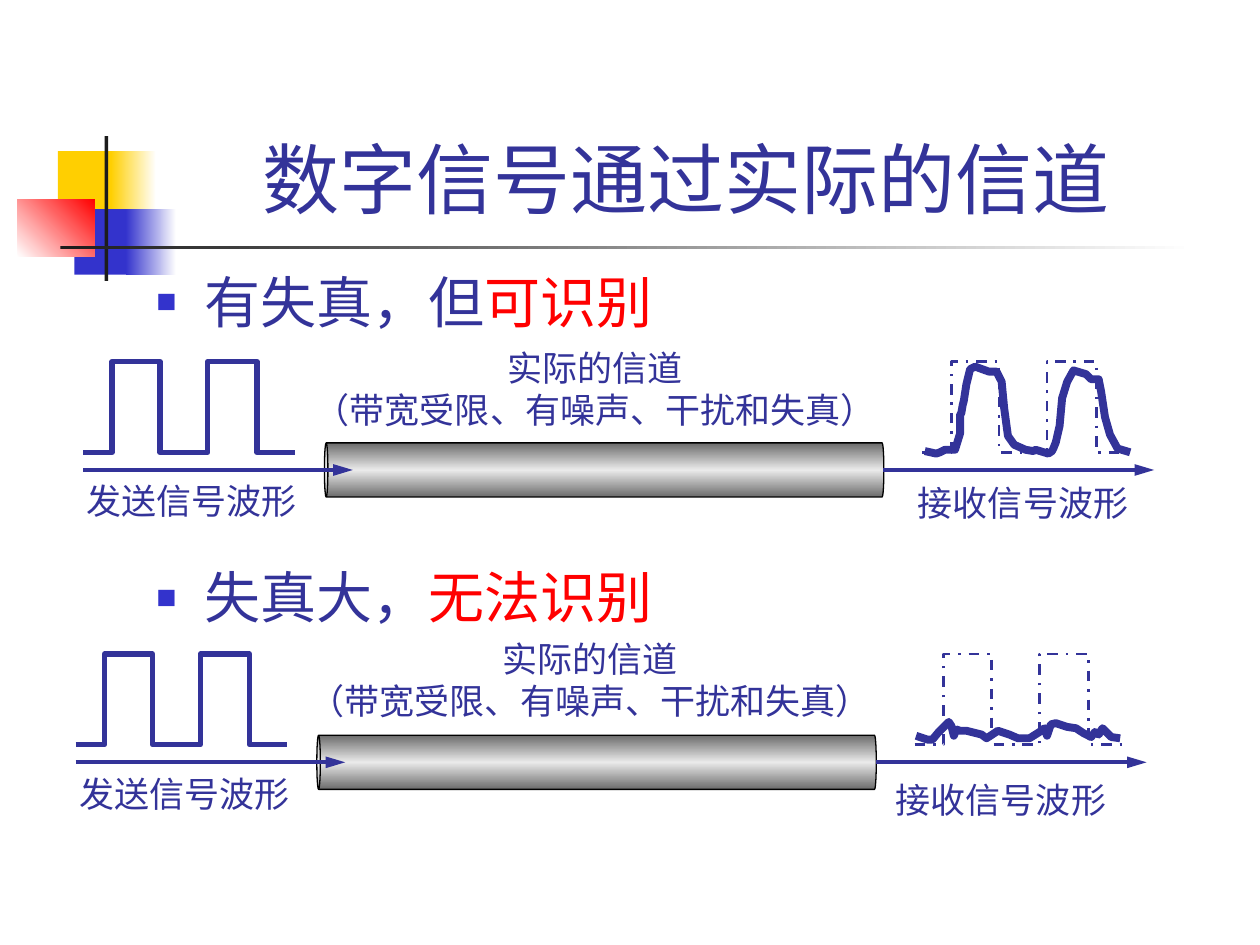
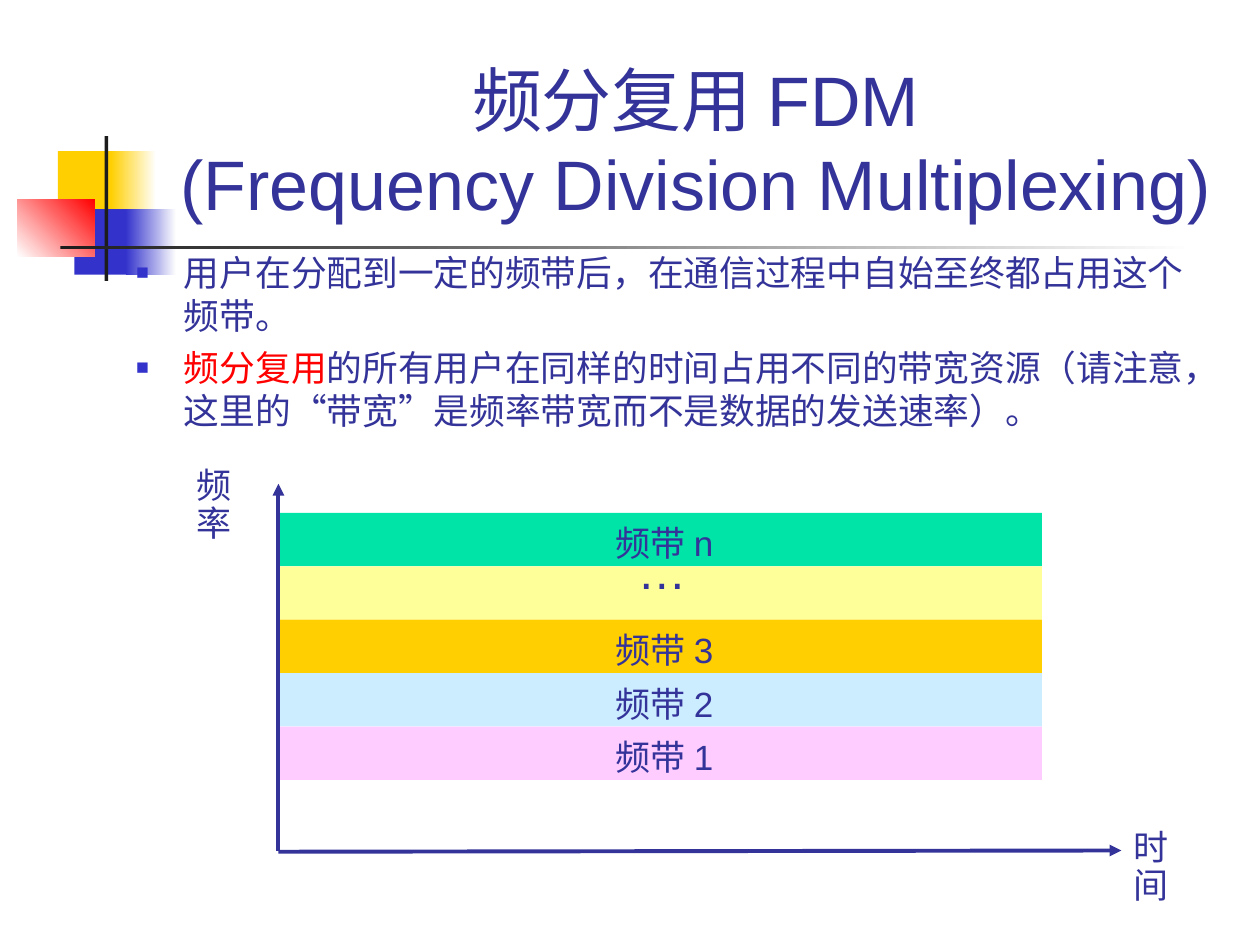
from dataclasses import dataclass

from lxml.etree import SubElement
from pptx import Presentation
from pptx.dml.color import RGBColor
from pptx.enum.dml import MSO_LINE
from pptx.enum.shapes import MSO_CONNECTOR, MSO_SHAPE
from pptx.enum.text import MSO_ANCHOR, MSO_AUTO_SIZE, PP_ALIGN
from pptx.oxml.ns import qn
from pptx.util import Inches, Pt

NAVY, BLUE, RED, GOLD = "333399", "3333CC", "FF0000", "FFCF01"
WHITE, CHARCOAL, BLACK = "FFFFFF", "1C1C1C", "000000"
LATIN, SERIF, CHINESE = "Arial", "Times New Roman", "Noto Sans CJK SC"

Point = tuple[float, float]
Box = tuple[float, float, float, float]
Run = tuple[str, str]


@dataclass
class Block:
    box: Box
    colors: list[str]
    angle: int = 0


@dataclass
class Channel:
    left: float
    top: float
    caption: Point
    received_label: Box
    received: list[Point]


DECORATION = [
    Block((0.46, 1.2, 0.48, 0.52), [GOLD]),
    Block((0.88, 1.2, 0.36, 0.52), [GOLD, WHITE]),
    Block((0.59, 1.66, 0.46, 0.52), [BLUE]),
    Block((1, 1.66, 0.4, 0.52), [BLUE, WHITE]),
    Block((0.14, 1.58, 0.61, 0.46), [WHITE, RED], 315),
    Block((0.83, 1.08, 0.03, 1.15), [CHARCOAL]),
    Block((0.48, 1.95, 9, 0.03), [CHARCOAL, WHITE]),
]

PULSES = [(0, 0.72), (0.23, 0.72), (0.23, 0), (0.61, 0), (0.61, 0.72),
          (0.99, 0.72), (0.99, 0), (1.38, 0), (1.38, 0.72), (1.68, 0.72)]

DISTORTED = [
    (7.34, 3.58), (7.43, 3.6), (7.46, 3.59), (7.5, 3.57), (7.58, 3.57), (7.62, 3.44),
    (7.62, 3.29), (7.63, 3.28), (7.64, 3.22), (7.65, 3.18), (7.67, 3.05), (7.7, 2.93),
    (7.74, 2.91), (7.85, 2.95), (7.91, 2.95), (7.95, 3.03), (7.97, 3.24), (8, 3.46),
    (8.05, 3.53), (8.14, 3.57), (8.2, 3.58), (8.22, 3.57), (8.32, 3.6), (8.35, 3.58),
    (8.36, 3.56), (8.38, 3.51), (8.41, 3.38), (8.43, 3.16), (8.47, 3.03), (8.52, 2.94),
    (8.62, 2.97), (8.66, 3.01), (8.72, 3.01), (8.74, 3.11), (8.77, 3.31), (8.81, 3.45),
    (8.87, 3.56), (8.97, 3.59)]

UNREADABLE = [
    (7.27, 5.84), (7.36, 5.87), (7.4, 5.87), (7.45, 5.81), (7.53, 5.73), (7.55, 5.76),
    (7.57, 5.84), (7.59, 5.79), (7.62, 5.8), (7.67, 5.8), (7.79, 5.83), (7.83, 5.86),
    (7.92, 5.8), (8.01, 5.83), (8.08, 5.86), (8.17, 5.86), (8.25, 5.81), (8.29, 5.78),
    (8.31, 5.84), (8.34, 5.75), (8.38, 5.74), (8.47, 5.77), (8.54, 5.78), (8.6, 5.82),
    (8.66, 5.85), (8.69, 5.81), (8.72, 5.83), (8.75, 5.78), (8.82, 5.85), (8.89, 5.86)]

CHANNELS = [
    Channel(0.66, 2.87, (2.4, 2.7), (7.07, 3.77, 2.1, 0.44), DISTORTED),
    Channel(0.6, 5.19, (2.36, 5.01), (6.93, 6.13, 2.03, 0.44), UNREADABLE),
]

BANDS = [("频带 n", "00E4A8"), ("…", "FFFF99"), ("频带 3", GOLD),
         ("频带 2", "CCECFF"), ("频带 1", "FFCCFF")]


def rgb(color: str) -> RGBColor:
    return RGBColor.from_string(color)


def paint(shape, colors: list[str], angle: int = 0) -> None:
    if len(colors) == 1:
        shape.fill.solid()
        shape.fill.fore_color.rgb = rgb(colors[0])
        return
    shape.fill.gradient()
    gradient = shape._element.spPr.find(qn("a:gradFill"))
    gradient.set("rotWithShape", "1")
    for child in list(gradient):
        gradient.remove(child)
    stops = SubElement(gradient, qn("a:gsLst"))
    for index, color in enumerate(colors):
        position = 100000 * index // (len(colors) - 1)
        stop = SubElement(stops, qn("a:gs"), pos=str(position))
        SubElement(stop, qn("a:srgbClr"), val=color)
    SubElement(gradient, qn("a:lin"), ang=str(angle * 60000), scaled="0")


def add_block(slide, kind: MSO_SHAPE, block: Block):
    shape = slide.shapes.add_shape(kind, *map(Inches, block.box))
    shape.shadow.inherit = False
    shape.line.fill.background()
    paint(shape, block.colors, block.angle)
    return shape


def format_run(run, size: float, font: str, color: str = NAVY) -> None:
    run.font.size = Pt(size)
    run.font.name = font
    run.font.color.rgb = rgb(color)
    SubElement(run._r.get_or_add_rPr(), qn("a:ea"), typeface=CHINESE)


def add_label(slide, text: str, box: Box, font: str, size: float = 20, spacing: float = 1,
              align: PP_ALIGN = PP_ALIGN.LEFT, wrap: bool = False) -> None:
    text_frame = slide.shapes.add_textbox(*map(Inches, box)).text_frame
    text_frame.text = text
    text_frame.word_wrap = wrap
    text_frame.auto_size = MSO_AUTO_SIZE.SHAPE_TO_FIT_TEXT
    for paragraph in text_frame.paragraphs:
        paragraph.alignment = align
        paragraph.line_spacing = spacing
        for run in paragraph.runs:
            format_run(run, size, font)


def add_arrow(slide, start: Point, end: Point, head_length: str = "med") -> None:
    connector = slide.shapes.add_connector(
        MSO_CONNECTOR.STRAIGHT, *map(Inches, start + end))
    connector.line.color.rgb = rgb(NAVY)
    connector.line.width = Pt(2.24)
    SubElement(connector.line._get_or_add_ln(), qn("a:tailEnd"),
               type="triangle", w="med", len=head_length)
    SubElement(connector._element.spPr, qn("a:effectLst"))


def add_wave(slide, points: list[Point], width: float, dashed: bool = False) -> None:
    corners = [(Inches(x), Inches(y)) for x, y in points]
    builder = slide.shapes.build_freeform(*corners[0])
    builder.add_line_segments(corners[1:], close=False)
    shape = builder.convert_to_shape()
    shape.shadow.inherit = False
    shape.fill.background()
    shape.line.color.rgb = rgb(NAVY)
    shape.line.width = Pt(width)
    if dashed:
        shape.line.dash_style = MSO_LINE.DASH_DOT


def place(placeholder, box: Box) -> None:
    placeholder.left, placeholder.top, placeholder.width, placeholder.height = map(Inches, box)
    placeholder.text_frame.auto_size = MSO_AUTO_SIZE.NONE


def set_title(slide, text: str, size: float) -> None:
    title = slide.shapes.title
    place(title, (1.26, 0.23, 8.52, 1.6))
    title.text_frame.text = text
    title.text_frame.vertical_anchor = MSO_ANCHOR.BOTTOM
    paragraph = title.text_frame.paragraphs[0]
    paragraph.alignment = PP_ALIGN.CENTER
    for run in paragraph.runs:
        format_run(run, size, LATIN)


def set_bullets(slide, box: Box, items: list[list[Run]], size: float,
                line_spacing: float, gaps: list[float]) -> None:
    body = slide.placeholders[1]
    place(body, box)
    text_frame = body.text_frame
    text_frame.text = "\n".join("" for _ in items)
    for paragraph, runs, gap in zip(text_frame.paragraphs, items, gaps):
        paragraph.line_spacing = line_spacing
        paragraph.space_before = Pt(gap)
        properties = paragraph._p.get_or_add_pPr()
        properties.set("marL", str(Inches(0.38)))
        properties.set("indent", str(-Inches(0.38)))
        bullet_color = SubElement(properties, qn("a:buClr"))
        SubElement(bullet_color, qn("a:srgbClr"), val=BLUE)
        SubElement(properties, qn("a:buSzPct"), val="60000")
        SubElement(properties, qn("a:buFont"), typeface=LATIN)
        SubElement(properties, qn("a:buChar"), char="■")
        for text, color in runs:
            run = paragraph.add_run()
            run.text = text
            format_run(run, size, LATIN, color)


def decorate_layout(slide) -> None:
    tree = slide.slide_layout.shapes._spTree
    for index, block in enumerate(DECORATION):
        shape = add_block(slide, MSO_SHAPE.RECTANGLE, block)
        tree.insert(2 + index, shape._element)


def draw_channel(slide, channel: Channel) -> None:
    left, top = channel.left, channel.top
    pipe = add_block(slide, MSO_SHAPE.CAN, Block(
        (left + 3.92, top - 1.36, 0.43, 4.44), ["6C6C6C", "EAEAEA", "6C6C6C"]))
    pipe.adjustments[0] = 0.065
    pipe.rotation = 270
    pipe.line.color.rgb = rgb(BLACK)
    pipe.line.width = Pt(0.74)
    axis = top + 0.86
    add_wave(slide, [(left + x, top + y) for x, y in PULSES], 3)
    add_arrow(slide, (left, axis), (left + 2.14, axis), "lg")
    add_wave(slide, [(left + 6.66 + x, top + y) for x, y in PULSES], 1.5, dashed=True)
    add_arrow(slide, (left + 6.35, axis), (left + 8.5, axis), "lg")
    add_wave(slide, channel.received, 4.5)
    add_label(slide, "实际的信道\n（带宽受限、有噪声、干扰和失真）", (*channel.caption, 4.65, 0.77),
              SERIF, align=PP_ALIGN.CENTER)
    add_label(slide, "发送信号波形", (left - 0.07, top + 0.89, 1.87, 0.44), CHINESE)
    add_label(slide, "接收信号波形", channel.received_label, CHINESE,
              align=PP_ALIGN.CENTER, wrap=True)


def draw_bands(slide) -> None:
    left, top, height = 2.21, 4.07, 0.424
    add_arrow(slide, (left, 6.76), (8.9, 6.75))
    add_label(slide, "频率", (1.46, 3.67, 0.75, 0.4), SERIF, spacing=0.9)
    add_label(slide, "时间", (8.9, 6.54, 0.75, 0.4), SERIF, spacing=0.9)
    for index, (text, color) in enumerate(BANDS):
        band_top = top + index * height
        add_block(slide, MSO_SHAPE.RECTANGLE, Block((left, band_top, 6.06, height), [color]))
    for index, (text, color) in enumerate(BANDS):
        band_top = top + index * height
        if text == "…":
            add_label(slide, text, (4.96, band_top - 0.2, 0.59, 0.52), LATIN, 28, 0.9)
        else:
            add_label(slide, text, (4.79, band_top + 0.06, 1.04, 0.4), LATIN, spacing=0.9)
    add_arrow(slide, (left, 6.75), (left, 3.84))


def main() -> None:
    presentation = Presentation()
    presentation.slide_width, presentation.slide_height = Inches(10), Inches(7.5)
    layout = presentation.slide_layouts[1]

    slide = presentation.slides.add_slide(layout)
    decorate_layout(slide)
    set_title(slide, "数字信号通过实际的信道 ", 44)
    set_bullets(slide, (1.14, 2.02, 8.5, 4.5),
                [[("有失真，但", NAVY), ("可识别", RED)],
                 [("失真大，", NAVY), ("无法识别 ", RED)]], 32, 1.1, [0, 126.5])
    for channel in CHANNELS:
        draw_channel(slide, channel)

    slide = presentation.slides.add_slide(layout)
    set_title(slide, "频分复用 FDM\v(Frequency Division Multiplexing) ", 40)
    set_bullets(slide, (0.98, 1.94, 8.66, 1.97),
                [[("用户在分配到一定的频带后，在通信过程中自始至终都占用这个频带。", NAVY)],
                 [("频分复用", RED),
                  ("的所有用户在同样的时间占用不同的带宽资源（请注意，这里的“带宽”"
                   "是频率带宽而不是数据的发送速率）。 ", NAVY)]], 20.4, 1, [5.5, 5.5])
    draw_bands(slide)

    presentation.save("out.pptx")


main()
